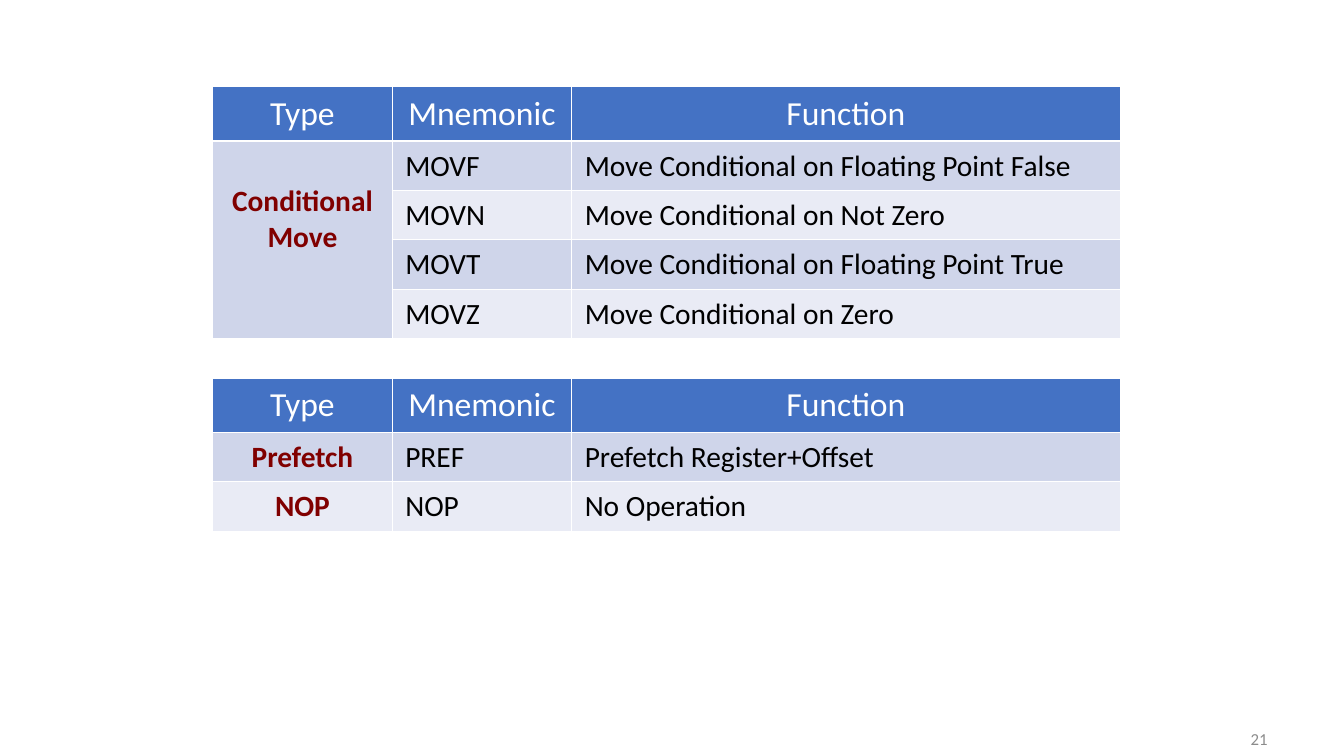
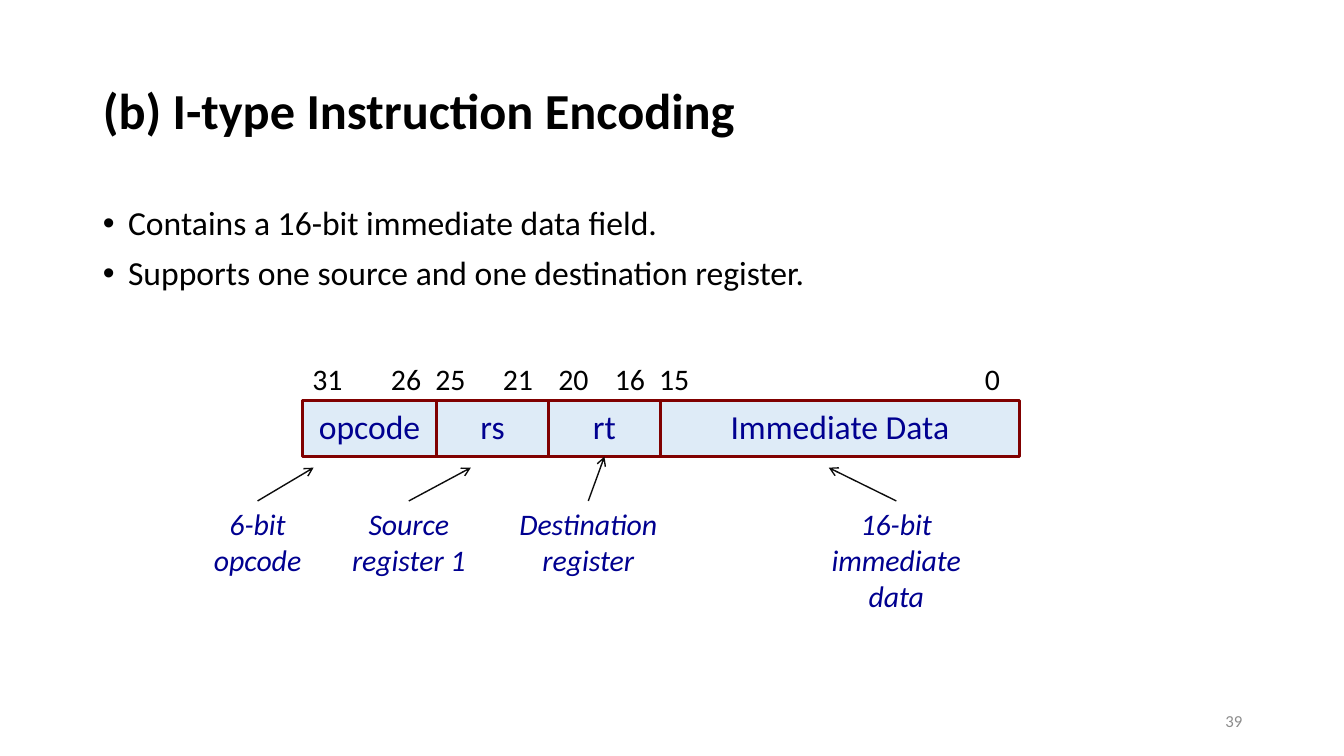
from dataclasses import dataclass
from itertools import accumulate

from lxml.etree import SubElement
from pptx import Presentation
from pptx.dml.color import RGBColor
from pptx.enum.shapes import MSO_CONNECTOR as Connector, MSO_SHAPE as Preset
from pptx.enum.text import MSO_ANCHOR as Anchor, MSO_AUTO_SIZE as AutoSize, PP_ALIGN as Align
from pptx.oxml.ns import qn
from pptx.util import Inches, Pt


# Theme
@dataclass(frozen=True)
class Theme:
    font: str = "Calibri"
    black: str = "000000"
    white: str = "FFFFFF"
    grey: str = "8C8C8C"
    maroon: str = "800000"
    navy: str = "000090"
    arrow: str = "0D0D0D"
    header: str = "4472C4"
    bands: tuple[str, str] = ("CFD5EA", "E9EBF5")
    field: str = "DEEBF7"
    title_size: float = 36
    body_size: float = 24
    cell_size: float = 21
    label_size: float = 21.3
    footer_size: float = 12


THEME = Theme()
HEADINGS = ("Type", "Mnemonic", "Function")
COLUMN_WIDTHS = (1.78, 1.78, 5.44)
HEADER_HEIGHT, ROW_HEIGHT = 0.53, 0.49
CELL_FORMAT = {"margin_left": Inches(0.13), "margin_right": Inches(0.13),
               "margin_top": Inches(0.07), "margin_bottom": Inches(0.07)}
FIELD_FORMAT = {"margin_top": 0, "margin_bottom": Inches(0.05),
                "vertical_anchor": Anchor.MIDDLE, "word_wrap": True}
FIELD_LEFT, FIELD_TOP, FIELD_HEIGHT = 3, 3.97, 0.56
BIT_TOP, BIT_HEIGHT = 3.53, 0.46
CAPTION_TOP = 4.97


# Content
@dataclass(frozen=True)
class Group:
    """Instructions of one type; top_margin lowers the type name in its cell."""
    kind: str
    instructions: tuple[tuple[str, str], ...]
    top_margin: float = 0.07


@dataclass(frozen=True)
class Field:
    """A field of the instruction word, with its bit numbers and their lefts."""
    name: str
    width: float
    bits: tuple[tuple[str, float], ...]


@dataclass(frozen=True)
class Caption:
    """A note below the word; without a tip, its arrow meets the named field."""
    text: str
    left: float
    width: float
    height: float
    field: str
    tip: float | None = None


CONDITIONAL_MOVES = (
    Group("Conditional Move", (
        ("MOVF", "Move Conditional on Floating Point False"),
        ("MOVN", "Move Conditional on Not Zero"),
        ("MOVT", "Move Conditional on Floating Point True"),
        ("MOVZ", "Move Conditional on Zero"),
    ), top_margin=0.42),
)
OTHER_INSTRUCTIONS = (
    Group("Prefetch", (("PREF", "Prefetch Register+Offset"),)),
    Group("NOP", (("NOP", "No Operation"),)),
)
FIELDS = (
    Field("opcode", 1.33, (("31", 3), ("26", 3.78))),
    Field("rs", 1.11, (("25", 4.22), ("21", 4.89))),
    Field("rt", 1.11, (("20", 5.44), ("16", 6))),
    Field("Immediate Data", 3.56, (("15", 6.44), ("0", 9.67))),
)
CAPTIONS = (
    Caption("6-bit opcode", 1.78, 1.55, 0.82, "opcode", 3.11),
    Caption("Source register 1", 3.22, 1.67, 0.82, "rs", 4.67),
    Caption("Destination register", 5, 1.67, 0.82, "rt"),
    Caption("16-bit immediate data", 8.11, 1.56, 1.18, "Immediate Data", 8.22),
)
ARROW_TIP_TOP = 4.64
POINTS = ("Contains a 16-bit immediate data field.",
          "Supports one source and one destination register.")


# Helpers
def apply_format(target, values: dict) -> None:
    for name, value in values.items():
        setattr(target, name, value)


def paint(target, color: str) -> None:
    target.fill.solid()
    target.fill.fore_color.rgb = RGBColor.from_string(color)


def write(frame, text: str, size: float, color: str, align=Align.LEFT,
          bold: bool = False, italic: bool = False) -> None:
    frame.text = text
    for paragraph in frame.paragraphs:
        paragraph.alignment = align
        for run in paragraph.runs:
            apply_format(run.font, {"name": THEME.font, "size": Pt(size),
                                    "bold": bold, "italic": italic})
            run.font.color.rgb = RGBColor.from_string(color)


def place(shape, left: float, top: float, width: float, height: float) -> None:
    apply_format(shape, {"left": Inches(left), "top": Inches(top),
                         "width": Inches(width), "height": Inches(height)})


def add_label(slide, left: float, top: float, width: float, height: float,
              text: str, size: float = THEME.label_size, color: str = THEME.black,
              anchor=Anchor.TOP, **style):
    label = slide.shapes.add_textbox(Inches(left), Inches(top), Inches(width), Inches(height))
    apply_format(label.text_frame, {"word_wrap": True, "vertical_anchor": anchor})
    write(label.text_frame, text, size, color, **style)
    return label


def add_page_number(slide, number: str, left: float, top: float, width: float) -> None:
    add_label(slide, left, top, width, 0.4, number, THEME.footer_size, THEME.grey,
              Anchor.MIDDLE, align=Align.RIGHT)


def fill_cell(cell, text: str, fill: str, **style) -> None:
    apply_format(cell, CELL_FORMAT)
    paint(cell, fill)
    write(cell.text_frame, text, **style)


def add_instruction_table(slide, top: float, groups: tuple[Group, ...]) -> None:
    count = sum(len(group.instructions) for group in groups)
    height = HEADER_HEIGHT + count * ROW_HEIGHT
    table = slide.shapes.add_table(count + 1, len(HEADINGS), Inches(2.11), Inches(top),
                                   Inches(sum(COLUMN_WIDTHS)), Inches(height)).table
    for column, width in zip(table.columns, COLUMN_WIDTHS):
        column.width = Inches(width)
    for index, row in enumerate(table.rows):
        row.height = Inches(ROW_HEIGHT if index else HEADER_HEIGHT)
    for column, heading in enumerate(HEADINGS):
        fill_cell(table.cell(0, column), heading, THEME.header, size=THEME.body_size,
                  color=THEME.white, align=Align.CENTER)
    first = 1
    for group in groups:
        last = first + len(group.instructions) - 1
        kind = table.cell(first, 0)
        if last > first:
            kind.merge(table.cell(last, 0))
        fill_cell(kind, group.kind, THEME.bands[(first - 1) % 2], size=THEME.cell_size,
                  color=THEME.maroon, align=Align.CENTER, bold=True)
        kind.margin_top = Inches(group.top_margin)
        for row, instruction in enumerate(group.instructions, first):
            for column, text in enumerate(instruction, 1):
                fill_cell(table.cell(row, column), text, THEME.bands[(row - 1) % 2],
                          size=THEME.cell_size, color=THEME.black)
        first = last + 1


def add_field(slide, field: Field, left: float):
    box = slide.shapes.add_shape(Preset.RECTANGLE, Inches(left), Inches(FIELD_TOP),
                                 Inches(field.width), Inches(FIELD_HEIGHT))
    box.shadow.inherit = False
    paint(box, THEME.field)
    box.line.color.rgb = RGBColor.from_string(THEME.maroon)
    box.line.width = Pt(2)
    apply_format(box.text_frame, FIELD_FORMAT)
    write(box.text_frame, field.name, THEME.body_size, THEME.navy, Align.CENTER)
    for number, bit_left in field.bits:
        add_label(slide, bit_left, BIT_TOP, 0.67, BIT_HEIGHT, number)
    return box


def add_caption(slide, caption: Caption, field_box) -> None:
    note = add_label(slide, caption.left, CAPTION_TOP, caption.width, caption.height,
                     caption.text, color=THEME.navy, align=Align.CENTER, italic=True)
    arrow = slide.shapes.add_connector(
        Connector.STRAIGHT, Inches(caption.left + caption.width / 2), Inches(CAPTION_TOP),
        Inches(caption.tip or caption.left), Inches(ARROW_TIP_TOP))
    arrow.begin_connect(note, 0)
    if caption.tip is None:
        arrow.end_connect(field_box, 2)
    arrow.line.color.rgb = RGBColor.from_string(THEME.arrow)
    arrow.line.width = Pt(1)
    SubElement(arrow.line._get_or_add_ln(), qn("a:tailEnd"), type="arrow")
    SubElement(arrow._element.spPr, qn("a:effectLst"))


def set_bullet(paragraph) -> None:
    apply_format(paragraph, {"line_spacing": 0.9, "space_before": Pt(10)})
    properties = paragraph._p.get_or_add_pPr()
    properties.set("marL", str(Inches(0.25)))
    properties.set("indent", str(-Inches(0.25)))
    SubElement(properties, qn("a:buFont"), typeface="Arial")
    SubElement(properties, qn("a:buChar"), char="•")


# Slides
def build_instruction_tables(deck) -> None:
    slide = deck.slides.add_slide(deck.slide_layouts[6])
    add_page_number(slide, "21", 9.56, 7.13, 3.11)
    add_instruction_table(slide, 0.86, CONDITIONAL_MOVES)
    add_instruction_table(slide, 3.75, OTHER_INSTRUCTIONS)


def build_encoding(deck) -> None:
    slide = deck.slides.add_slide(deck.slide_layouts[1])
    title, body = slide.shapes.title, slide.placeholders[1]
    place(title, 0.92, 0.4, 11.5, 1.45)
    place(body, 0.92, 2, 11.5, 4.76)
    for holder, anchor in ((title, Anchor.MIDDLE), (body, Anchor.TOP)):
        apply_format(holder.text_frame, {"auto_size": AutoSize.NONE, "word_wrap": True,
                                         "vertical_anchor": anchor})
    write(title.text_frame, "(b) I-type Instruction Encoding", THEME.title_size,
          THEME.black, bold=True)
    title.text_frame.paragraphs[0].line_spacing = 0.9
    write(body.text_frame, "\n".join(POINTS), THEME.body_size, THEME.black)
    for paragraph in body.text_frame.paragraphs:
        set_bullet(paragraph)
    add_page_number(slide, "39", 9.42, 6.95, 3)

    # Instruction word and its captions
    lefts = accumulate((field.width for field in FIELDS), initial=FIELD_LEFT)
    boxes = {field.name: add_field(slide, field, left) for field, left in zip(FIELDS, lefts)}
    for caption in CAPTIONS:
        add_caption(slide, caption, boxes[caption.field])


def main() -> None:
    deck = Presentation()
    apply_format(deck, {"slide_width": Inches(13.33), "slide_height": Inches(7.5)})
    build_instruction_tables(deck)
    build_encoding(deck)
    deck.save("out.pptx")


if __name__ == "__main__":
    main()
